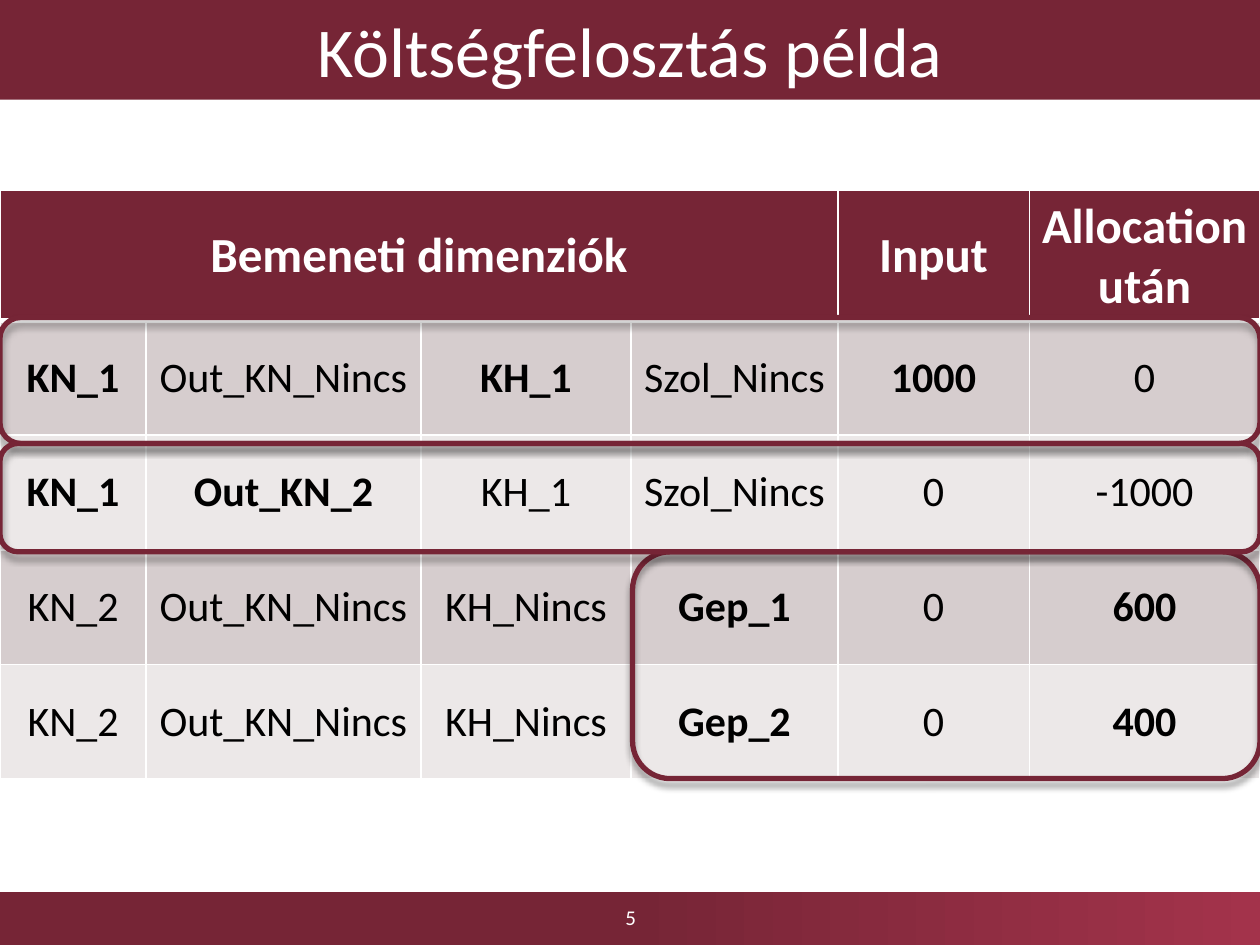
from lxml import etree
from pptx import Presentation
from pptx import util as u
from pptx.dml.color import RGBColor
from pptx.enum import shapes, text
from pptx.oxml.ns import qn

COLS, ROWS = 100, 75
WINE, ROSE, WHITE, BLACK = "762536", "A3334B", "FFFFFF", "000000"
BANDS = ("D6CDCE", "ECE8E8")
COL_WIDTHS = (11.6, 21.8, 16.7, 16.4, 15.2, 18.3)
TABLE_TOP, ROW_HEIGHT = 15.1, 9.1
HEADER = ("Bemeneti dimenziók", "", "", "", "Input", "Allocation után")
BODY = (
    ("KN_1", "Out_KN_Nincs", "KH_1", "Szol_Nincs", "1000", "0"),
    ("KN_1", "Out_KN_2", "KH_1", "Szol_Nincs", "0", "-1000"),
    ("KN_2", "Out_KN_Nincs", "KH_Nincs", "Gep_1", "0", "600"),
    ("KN_2", "Out_KN_Nincs", "KH_Nincs", "Gep_2", "0", "400"),
)
BOLD_COLUMNS = ((0, 2, 4), (0, 1), (3, 5), (3, 5))
FRAMES = ((0, 25.2, 100, 10), (50.2, 43.8, 49.8, 18), (0, 35.2, 100, 8.6))


def rgb(value):
    return RGBColor.from_string(value)


def add_xml(parent, tag, **attrs):
    return etree.SubElement(parent, qn(tag), {k: str(v) for k, v in attrs.items()})


class Deck:
    font = "Calibri"

    def __init__(self):
        self.prs = Presentation()
        self.prs.slide_width, self.prs.slide_height = u.Inches(10), u.Inches(7.5)
        self.slide = self.prs.slides.add_slide(self.prs.slide_layouts[6])

    def x(self, cols):
        return round(self.prs.slide_width * cols / COLS)

    def y(self, rows):
        return round(self.prs.slide_height * rows / ROWS)

    def box(self, left, top, width, height):
        return self.x(left), self.y(top), self.x(width), self.y(height)

    def add_words(self, tf, words, size, color, bold=False):
        tf.word_wrap = True
        p = tf.paragraphs[0]
        p.alignment = text.PP_ALIGN.CENTER
        r = p.add_run()
        r.text = words
        r.font.name, r.font.size, r.font.bold = self.font, u.Pt(size), bold
        r.font.color.rgb = rgb(color)

    def bar(self, box, colors):
        sp = self.slide.shapes.add_shape(shapes.MSO_SHAPE.RECTANGLE, *self.box(*box))
        sp.shadow.inherit = False
        sp.line.fill.background()
        if len(colors) == 1:
            sp.fill.solid()
            sp.fill.fore_color.rgb = rgb(colors[0])
        else:
            sp.fill.gradient()
            sp.fill.gradient_angle = 0
            for stop, color, place in zip(sp.fill.gradient_stops, colors, (0.5, 1)):
                stop.color.rgb, stop.position = rgb(color), place
        return sp

    def label(self, box, words, size, color):
        tf = self.slide.shapes.add_textbox(*self.box(*box)).text_frame
        tf.vertical_anchor = text.MSO_ANCHOR.MIDDLE
        self.add_words(tf, words, size, color)

    def frame(self, box):
        sp = self.slide.shapes.add_shape(
            shapes.MSO_SHAPE.ROUNDED_RECTANGLE, *self.box(*box))
        sp.shadow.inherit = False
        sp.fill.background()
        sp.line.color.rgb, sp.line.width = rgb(WINE), u.Pt(3)
        effects = sp._element.spPr.find(qn("a:effectLst"))
        shadow = add_xml(effects, "a:outerShdw", blurRad=u.Pt(4), dist=u.Pt(3),
                         dir=90 * 60000, rotWithShape=0)
        add_xml(add_xml(shadow, "a:srgbClr", val=BLACK), "a:alpha", val=40000)

    def style_cell(self, cell, fill, bottom):
        tcPr = cell._tc.get_or_add_tcPr()
        for side, width in zip("LRTB", (1, 1, 1, bottom)):
            ln = add_xml(tcPr, f"a:ln{side}", w=u.Pt(width))
            add_xml(add_xml(ln, "a:solidFill"), "a:srgbClr", val=WHITE)
        cell.fill.solid()
        cell.fill.fore_color.rgb = rgb(fill)
        cell.vertical_anchor = text.MSO_ANCHOR.MIDDLE

    def table(self, top):
        rows = (HEADER, *BODY)
        box = self.box(0, top, sum(COL_WIDTHS), ROW_HEIGHT * len(rows))
        tbl = self.slide.shapes.add_table(len(rows), len(HEADER), *box).table
        for column, width in zip(tbl.columns, COL_WIDTHS):
            column.width = self.x(width)
        for i, row in enumerate(rows):
            for j, words in enumerate(row):
                cell = tbl.cell(i, j)
                if i == 0:
                    fill, bottom, style = WINE, 3, (28, WHITE, True)
                else:
                    fill, bottom = BANDS[(i - 1) % 2], 1
                    style = (24, BLACK, j in BOLD_COLUMNS[i - 1])
                self.style_cell(cell, fill, bottom)
                if words:
                    self.add_words(cell.text_frame, words, *style)
        tbl.cell(0, 0).merge(tbl.cell(0, 3))


def main():
    deck = Deck()
    deck.bar((0, 70.8, 100, 4.2), (WINE, ROSE))
    title = deck.bar((0, 0, 100, 7.9), (WINE,))
    deck.add_words(title.text_frame, "Költségfelosztás példa", 40, WHITE)
    deck.label((38.8, 70.8, 22.5, 4), "5", 12, WHITE)
    deck.table(TABLE_TOP)
    for box in FRAMES:
        deck.frame(box)
    deck.prs.save("out.pptx")


if __name__ == "__main__":
    main()
